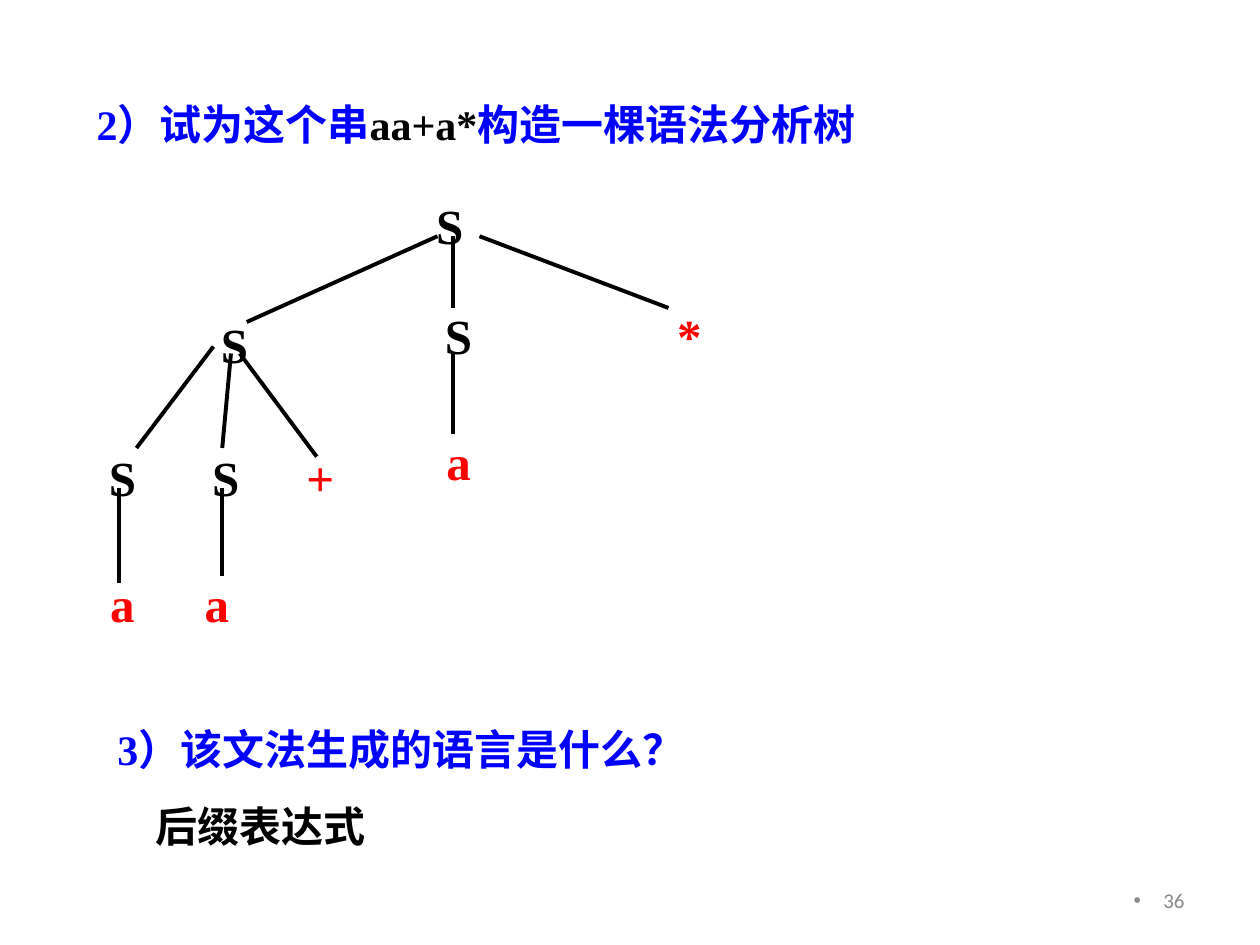
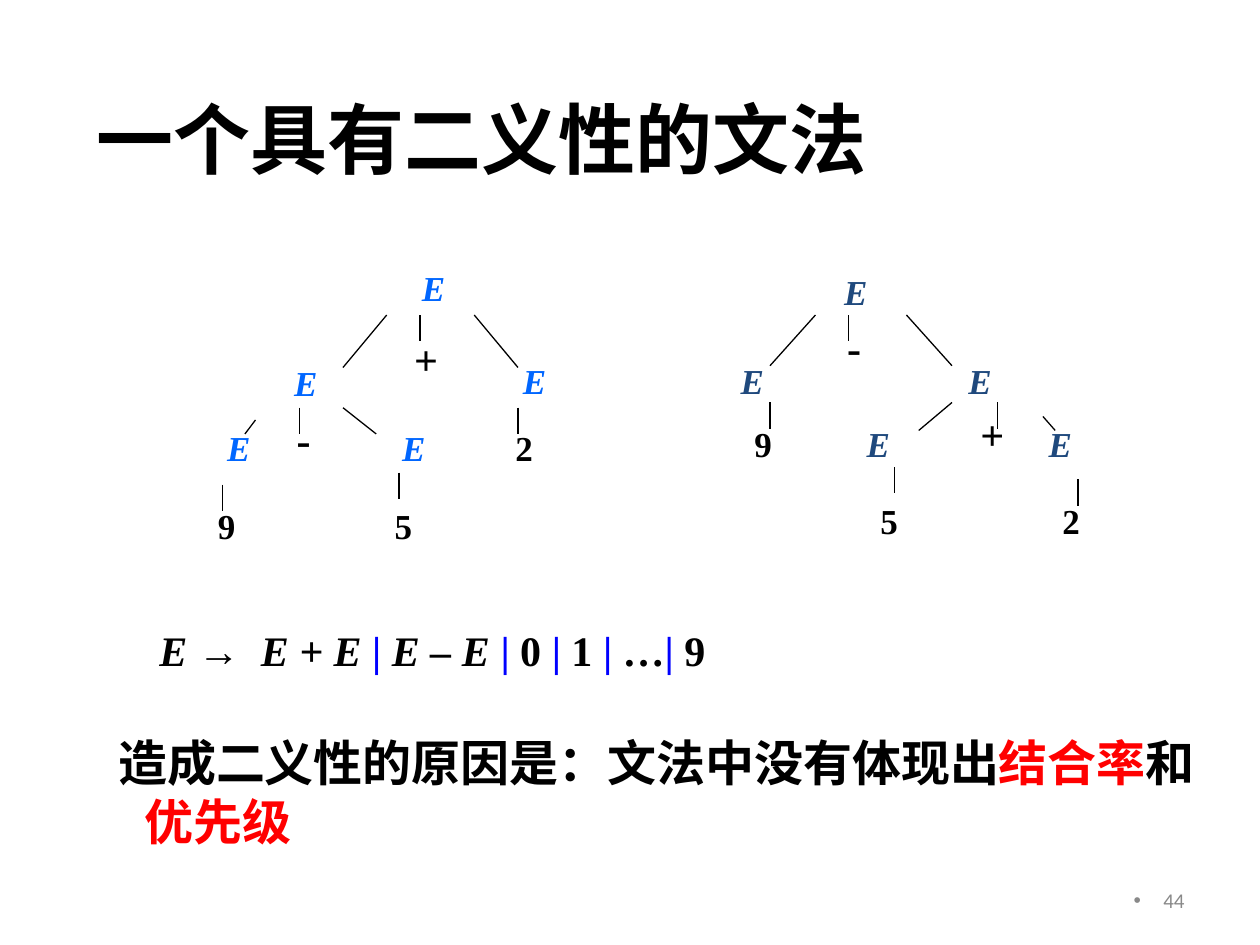
from lxml import etree
from pptx import Presentation
from pptx.dml.color import RGBColor
from pptx.enum import shapes, text
from pptx.oxml import ns
from pptx.util import Pt

BLACK, RED, BLUE, GREY = "000000", "FF0000", "0000FF", "898989"
SKY, NAVY = "0066FF", "1F497D"
SERIF, HAN = "Times New Roman", "Noto Sans CJK SC"
LEFT, MID, RIGHT = text.PP_ALIGN.LEFT, text.PP_ALIGN.CENTER, text.PP_ALIGN.RIGHT
STEM = 15


def paint(target, color):
    """Give a font or line its colour."""
    target.color.rgb = RGBColor.from_string(color)


def child(parent, tag, **attrs):
    """Append a drawing element."""
    return etree.SubElement(parent, ns.qn("a:" + tag), attrs)


def indent(par, margin, first):
    """Set the left margin and first-line offset of a paragraph."""
    props = par._p.get_or_add_pPr()
    props.set("marL", str(Pt(margin)))
    props.set("indent", str(Pt(first)))
    return props


def style(par, size, color, name=SERIF, bold=True, italic=False, align=LEFT):
    """Set the font and alignment of a paragraph."""
    par.alignment = align
    font = par.font
    font.size, font.name, font.bold, font.italic = Pt(size), name, bold, italic
    paint(font, color)
    child(par._p.pPr.find(ns.qn("a:defRPr")), "ea", typeface=HAN)


def write(par, parts):
    """Add runs given as text and colour."""
    for words, color in parts:
        run = par.add_run()
        run.text = words
        paint(run.font, color)


def box(slide, x, y, w, h):
    """Add a wrapping text box and return its frame."""
    frame = slide.shapes.add_textbox(Pt(x), Pt(y), Pt(w), Pt(h)).text_frame
    frame.word_wrap = True
    return frame


def head(slide, y, w, h, size, name, parts, anchor):
    """Place and fill the title."""
    title = slide.shapes.title
    title.left, title.top, title.width, title.height = Pt(48), Pt(y), Pt(w), Pt(h)
    frame = title.text_frame
    frame.auto_size = text.MSO_AUTO_SIZE.NONE
    frame.vertical_anchor = anchor
    par = frame.paragraphs[0]
    style(par, size, BLACK, name)
    write(par, parts)


def number(slide, value):
    """Add the bulleted page number."""
    frame = box(slide, 516, 500, 168, 29)
    frame.vertical_anchor = text.MSO_ANCHOR.MIDDLE
    par = frame.paragraphs[0]
    par.text = value
    props = indent(par, 17, -17)
    child(child(props, "buClr"), "srgbClr", val=GREY)
    child(props, "buFont", typeface="Arial")
    child(props, "buChar", char="•")
    style(par, 12, GREY, "Calibri", bold=False, align=RIGHT)


def nodes(slide, w, size, color, spots, italic=False, align=MID):
    """Add tree labels that share one look."""
    for label, x, y in spots:
        par = box(slide, x, y, w, size * 1.2 + 7.2).paragraphs[0]
        par.text = label
        style(par, size, color, italic=italic, align=align)


def edges(slide, width, ends):
    """Draw tree branches."""
    for ax, ay, bx, by in ends:
        line = slide.shapes.add_connector(
            shapes.MSO_CONNECTOR.STRAIGHT, Pt(ax), Pt(ay), Pt(bx), Pt(by))
        paint(line.line, BLACK)
        line.line.width = Pt(width)
        child(line._element.spPr, "effectLst")


def stems(slide, tops):
    """Draw short upright branches."""
    edges(slide, 0.75, [(x, y, x, y + STEM) for x, y in tops])


def parse_tree(slide):
    """Draw the tree of aa+a*."""
    nodes(slide, 44, 28, BLACK, [
        ("S", 235, 108), ("S", 112, 176), ("S", 240, 171),
        ("S", 48, 252), ("S", 107, 252)])
    nodes(slide, 44, 28, RED, [
        ("*", 372, 171), ("+", 161, 252), ("a", 102, 324),
        ("a", 48, 324), ("a", 240, 243)])
    edges(slide, 2.25, [
        (250, 135, 141, 184), (259, 135, 259, 176), (274, 135, 382, 176),
        (122, 198, 78, 256), (132, 202, 127, 256), (137, 202, 181, 261),
        (259, 202, 259, 248), (127, 279, 127, 329), (68, 279, 68, 333)])


def sum_tree(slide):
    """Draw the tree with plus at the root."""
    nodes(slide, 69, 20, SKY, [("E", 102, 240), ("E", 202, 240), ("E", 271, 202)], True)
    nodes(slide, 69, 20, SKY, [("E", 161, 203), ("E", 234, 149)], True, LEFT)
    nodes(slide, 31, 24, BLACK, [("+", 228, 187), ("-", 158, 233)])
    nodes(slide, 31, 20, BLACK, [("2", 284, 240), ("5", 215, 285), ("9", 114, 285)])
    stems(slide, [(127, 277), (240, 180), (171, 233), (228, 270), (296, 233)])
    edges(slide, 0.75, [
        (271, 180, 296, 210), (196, 210, 221, 180),
        (196, 233, 215, 248), (146, 240, 140, 248)])


def minus_tree(slide):
    """Draw the tree with minus at the root."""
    nodes(slide, 72, 20, NAVY, [
        ("E", 570, 238), ("E", 466, 238), ("E", 524, 202),
        ("E", 394, 202), ("E", 453, 151)], True)
    nodes(slide, 32, 24, BLACK, [("-", 472, 180), ("+", 551, 230)])
    nodes(slide, 32, 20, BLACK, [("9", 420, 238), ("5", 492, 282), ("2", 596, 282)])
    stems(slide, [(616, 274), (485, 180), (570, 230), (511, 267), (440, 230)])
    edges(slide, 0.75, [
        (466, 180, 440, 209), (544, 209, 518, 180),
        (544, 230, 525, 246), (596, 238, 603, 246)])


def answer(slide):
    """Add the question on the language and its answer."""
    frame = box(slide, 60, 410, 360, 80)
    ask = frame.paragraphs[0]
    ask.text = "3）该文法生成的语言是什么？"
    style(ask, 24, BLUE)
    reply = frame.add_paragraph()
    reply.text = "后缀表达式"
    reply.space_before = Pt(15)
    indent(reply, 22, 0)
    style(reply, 24, BLACK)


def rule(slide):
    """Add the grammar rule."""
    par = box(slide, 84, 353.5, 560, 36).paragraphs[0]
    tabs = child(par._p.get_or_add_pPr(), "tabLst")
    child(tabs, "tab", pos=str(Pt(58)), algn="l")
    style(par, 24, BLACK)
    write(par, [("E ", BLACK), ("→\t", BLACK), ("E + E ", BLACK), ("|", BLUE), (" E – E ", BLACK)])
    for run in par.runs:
        run.font.italic = True
    arrow = par.runs[1].font
    arrow.italic, arrow.name = False, "Arial"
    for term in (" 0 ", " 1 ", " …", " 9"):
        write(par, [("|", BLUE), (term, BLACK)])


def cause(slide):
    """Add the reason for the ambiguity."""
    par = box(slide, 48, 415, 648, 75).paragraphs[0]
    indent(par, 27.4, -14.9)
    style(par, 28, BLACK, HAN)
    write(par, [("造成二义性的原因是：文法中没有体现出", BLACK), ("结合率", RED),
                ("和", BLACK), ("优先级", RED)])


def main():
    """Build both slides."""
    deck = Presentation()
    deck.slide_width, deck.slide_height = Pt(720), Pt(540)
    layout = deck.slide_layouts[5]

    first = deck.slides.add_slide(layout)
    head(first, 52.5, 653, 36, 24, SERIF, [
        ("2）试为这个串", BLUE), ("aa+a*", BLACK), ("构造一棵语法分析树", BLUE)],
        text.MSO_ANCHOR.TOP)
    parse_tree(first)
    answer(first)
    number(first, "36")

    second = deck.slides.add_slide(layout)
    head(second, 49, 612, 59, 44, HAN, [("一个具有二义性的文法", BLACK)],
         text.MSO_ANCHOR.MIDDLE)
    sum_tree(second)
    minus_tree(second)
    rule(second)
    cause(second)
    number(second, "44")
    deck.save("out.pptx")


if __name__ == "__main__":
    main()
